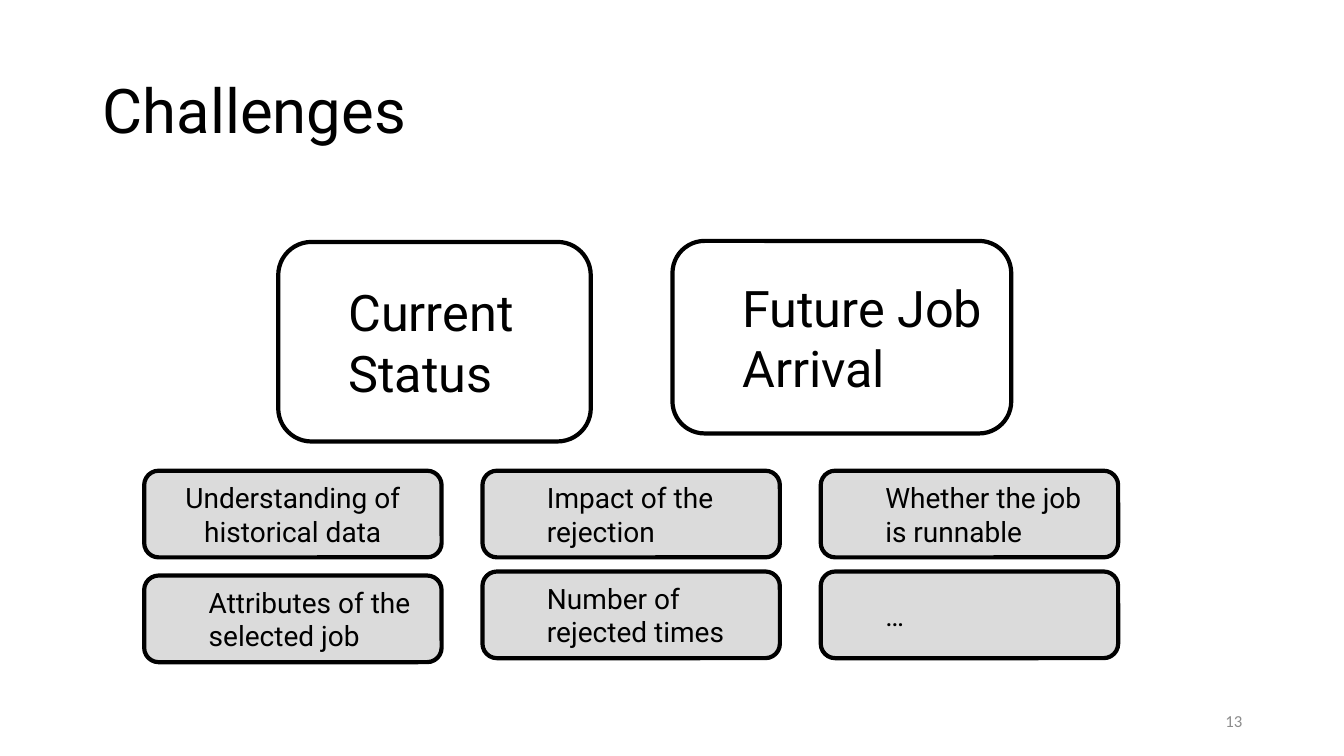
from dataclasses import dataclass

from pptx import Presentation
from pptx.dml.color import RGBColor
from pptx.enum.shapes import MSO_SHAPE as SHAPE
from pptx.enum.text import MSO_ANCHOR as ANCHOR, MSO_AUTO_SIZE as AUTO_SIZE, PP_ALIGN as ALIGN
from pptx.util import Inches, Pt


@dataclass(frozen=True)
class Theme:
    """Colours, fonts and type sizes of the deck."""
    ink: str = "000000"
    paper: str = "FFFFFF"
    grey: str = "DBDBDB"
    muted: str = "8C8C8C"
    font: str = "Roboto"
    number_font: str = "Calibri"
    title: int = 44
    topic: int = 36
    factor: int = 20
    number: int = 12
    border: int = 3


THEME = Theme()

TOPICS = [
    ("Current Status", (2.76, 2.4, 3.1, 1.98)),
    ("Future Job Arrival", (6.67, 2.39, 3.36, 1.91)),
]
FACTORS = [
    ["Understanding of historical data", "Impact of the rejection", "Whether the job is runnable"],
    ["Attributes of the selected job", "Number of rejected times", "…"],
]
CENTRED = FACTORS[0][0]
LOWERED = FACTORS[1][0]


def style(p, size, color=THEME.ink, font=THEME.font):
    """Set the font of a whole paragraph."""
    p.font.name = font
    p.font.size = Pt(size)
    p.font.color.rgb = RGBColor.from_string(color)


def add_title(slide, text, box):
    """Place and format the title placeholder."""
    sp = slide.shapes.title
    sp.left, sp.top, sp.width, sp.height = map(Inches, box)
    tf = sp.text_frame
    tf.text = text
    tf.auto_size = AUTO_SIZE.NONE
    tf.vertical_anchor = ANCHOR.MIDDLE
    p = tf.paragraphs[0]
    p.alignment = ALIGN.LEFT
    p.line_spacing = 0.9
    style(p, THEME.title)


def add_card(slide, text, box, fill, size, centred=False):
    """Draw a rounded card with centred or indented text."""
    sp = slide.shapes.add_shape(SHAPE.ROUNDED_RECTANGLE, *map(Inches, box))
    sp.shadow.inherit = False
    sp.fill.solid()
    sp.fill.fore_color.rgb = RGBColor.from_string(fill)
    sp.line.color.rgb = RGBColor.from_string(THEME.ink)
    sp.line.width = Pt(THEME.border)
    tf = sp.text_frame
    tf.word_wrap = True
    tf.vertical_anchor = ANCHOR.MIDDLE
    tf.text = text
    p = tf.paragraphs[0]
    p.alignment = ALIGN.CENTER if centred else ALIGN.LEFT
    if not centred:
        p.level = 1
        p._p.get_or_add_pPr().set("marL", str(Inches(0.5)))
    style(p, size)


def add_factors(slide, rows, box):
    """Lay out the grey factor cards as a grid that fills the box."""
    left, top, width, height = box
    card_w, card_h = 2.95, 0.86
    step_x = (width - card_w) / (len(rows[0]) - 1)
    step_y = (height - card_h) / (len(rows) - 1)
    for i, row in enumerate(rows):
        for j, text in enumerate(row):
            drop = 0.04 if text == LOWERED else 0
            card = (left + j * step_x, top + i * step_y + drop, card_w, card_h)
            add_card(slide, text, card, THEME.grey, THEME.factor, text == CENTRED)


def add_number(slide, text, box):
    """Write the slide number at the right of the box."""
    tf = slide.shapes.add_textbox(*map(Inches, box)).text_frame
    tf.word_wrap = True
    tf.vertical_anchor = ANCHOR.MIDDLE
    tf.text = text
    p = tf.paragraphs[0]
    p.alignment = ALIGN.RIGHT
    style(p, THEME.number, THEME.muted, THEME.number_font)


def main():
    """Build and save the presentation."""
    prs = Presentation()
    prs.slide_width, prs.slide_height = Inches(13.33), Inches(7.5)
    slide = prs.slides.add_slide(prs.slide_layouts[5])
    add_title(slide, "Challenges", (0.92, 0.4, 11.5, 1.45))
    for text, box in TOPICS:
        add_card(slide, text, box, THEME.paper, THEME.topic)
    add_factors(slide, FACTORS, (1.43, 4.67, 9.66, 1.86))
    add_number(slide, "13", (9.42, 6.95, 3, 0.4))
    prs.save("out.pptx")


if __name__ == "__main__":
    main()
